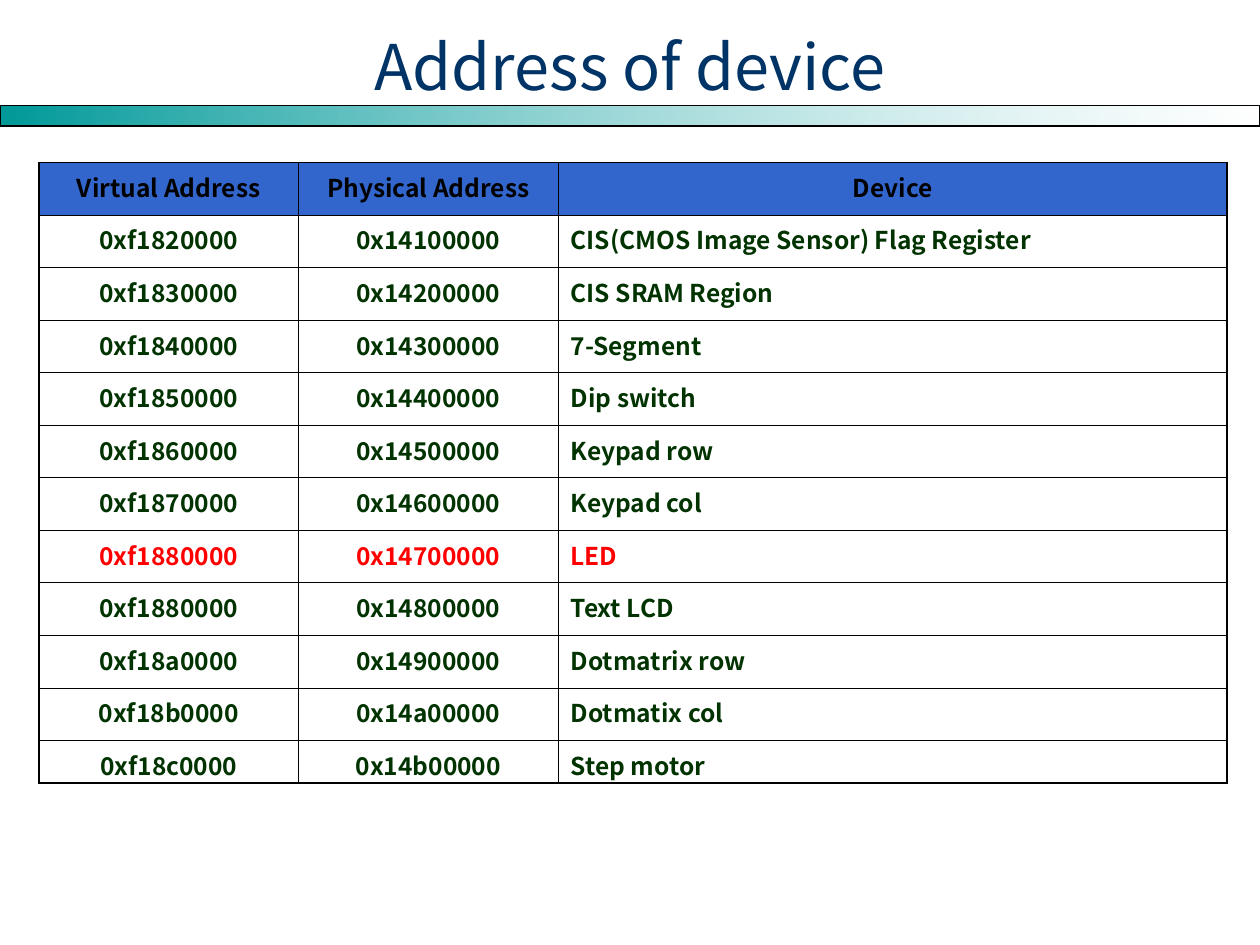
from lxml.etree import SubElement
from pptx import Presentation
from pptx.dml.color import RGBColor
from pptx.enum.shapes import MSO_SHAPE as Shape
from pptx.enum.text import MSO_ANCHOR as Anchor, PP_ALIGN as Align
from pptx.oxml.ns import qn
from pptx.util import Inches, Pt

FONT = "Noto Sans CJK KR"
BLACK = RGBColor(0x00, 0x00, 0x00)
NAVY = RGBColor(0x00, 0x33, 0x66)
BLUE = RGBColor(0x33, 0x66, 0xCC)
GREEN = RGBColor(0x00, 0x33, 0x00)
RED = RGBColor(0xFF, 0x00, 0x00)
TEAL = RGBColor(0x00, 0x99, 0x99)
PALE_TEAL = RGBColor(0x86, 0xCF, 0xCF)
THIN, THICK = Pt(0.45), Pt(1.08)

DEVICES = [
    ("Virtual Address", "Physical Address", "Device"),
    ("0xf1820000", "0x14100000", "CIS(CMOS Image Sensor) Flag Register"),
    ("0xf1830000", "0x14200000", "CIS SRAM Region"),
    ("0xf1840000", "0x14300000", "7-Segment"),
    ("0xf1850000", "0x14400000", "Dip switch"),
    ("0xf1860000", "0x14500000", "Keypad row"),
    ("0xf1870000", "0x14600000", "Keypad col"),
    ("0xf1880000", "0x14700000", "LED"),
    ("0xf1880000", "0x14800000", "Text LCD"),
    ("0xf18a0000", "0x14900000", "Dotmatrix row"),
    ("0xf18b0000", "0x14a00000", "Dotmatix col"),
    ("0xf18c0000", "0x14b00000", "Step motor"),
]
COLUMN_WIDTHS = [2.06, 2.06, 5.31]
LAST_ROW = len(DEVICES) - 1
LAST_COLUMN = len(COLUMN_WIDTHS) - 1
LAST_HEIGHT = 0.34
ROW_HEIGHT = (4.93 - LAST_HEIGHT) / LAST_ROW


def set_font(para, size, color, bold=False):
    para.font.name = FONT
    para.font.size = Pt(size)
    para.font.bold = bold
    para.font.color.rgb = color


def add_border(cell, side, width):
    line = SubElement(cell._tc.get_or_add_tcPr(), qn(f"a:ln{side}"), w=str(width))
    fill = SubElement(line, qn("a:solidFill"))
    SubElement(fill, qn("a:srgbClr"), val=str(BLACK))


deck = Presentation()
deck.slide_width = Inches(10)
deck.slide_height = Inches(7.5)
page = deck.slides.add_slide(deck.slide_layouts[6])

bar = page.shapes.add_shape(Shape.RECTANGLE, 0, Inches(0.84), Inches(10), Inches(0.16))
bar.shadow.inherit = False
bar.fill.gradient()
bar.fill.gradient_angle = 0
for stop, color in zip(bar.fill.gradient_stops, (TEAL, PALE_TEAL)):
    stop.color.rgb = color
fade_end = bar._element.spPr.findall(".//" + qn("a:gs"))[-1]
SubElement(fade_end[0], qn("a:alpha"), val="0")
bar.line.color.rgb = BLACK
bar.line.width = Pt(0.75)

title = page.shapes.add_textbox(Inches(0.12), Inches(0.21), Inches(9.76), Inches(0.61))
title.text_frame.word_wrap = True
title.text_frame.vertical_anchor = Anchor.MIDDLE
para = title.text_frame.paragraphs[0]
para.text = "Address of device"
para.alignment = Align.CENTER
set_font(para, 36, NAVY)

table = page.shapes.add_table(
    len(DEVICES), len(COLUMN_WIDTHS),
    Inches(0.31), Inches(1.29), Inches(9.43), Inches(4.93),
).table
table.first_row = False
table.horz_banding = False
for column, width in zip(table.columns, COLUMN_WIDTHS):
    column.width = Inches(width)

for r, device in enumerate(DEVICES):
    table.rows[r].height = Inches(LAST_HEIGHT if r == LAST_ROW else ROW_HEIGHT)
    is_header = r == 0
    color = BLACK if is_header else RED if device[-1] == "LED" else GREEN
    for c, text in enumerate(device):
        cell = table.cell(r, c)
        add_border(cell, "L", THICK if c == 0 else THIN)
        add_border(cell, "R", THICK if c == LAST_COLUMN else THIN)
        add_border(cell, "T", THICK if is_header else THIN)
        add_border(cell, "B", THICK if r == LAST_ROW else THIN)
        if is_header:
            cell.fill.solid()
            cell.fill.fore_color.rgb = BLUE
        else:
            cell.fill.background()
        para = cell.text_frame.paragraphs[0]
        para.text = text
        para.alignment = Align.CENTER if is_header or c < LAST_COLUMN else Align.LEFT
        set_font(para, 14, color, bold=True)

deck.save("out.pptx")
